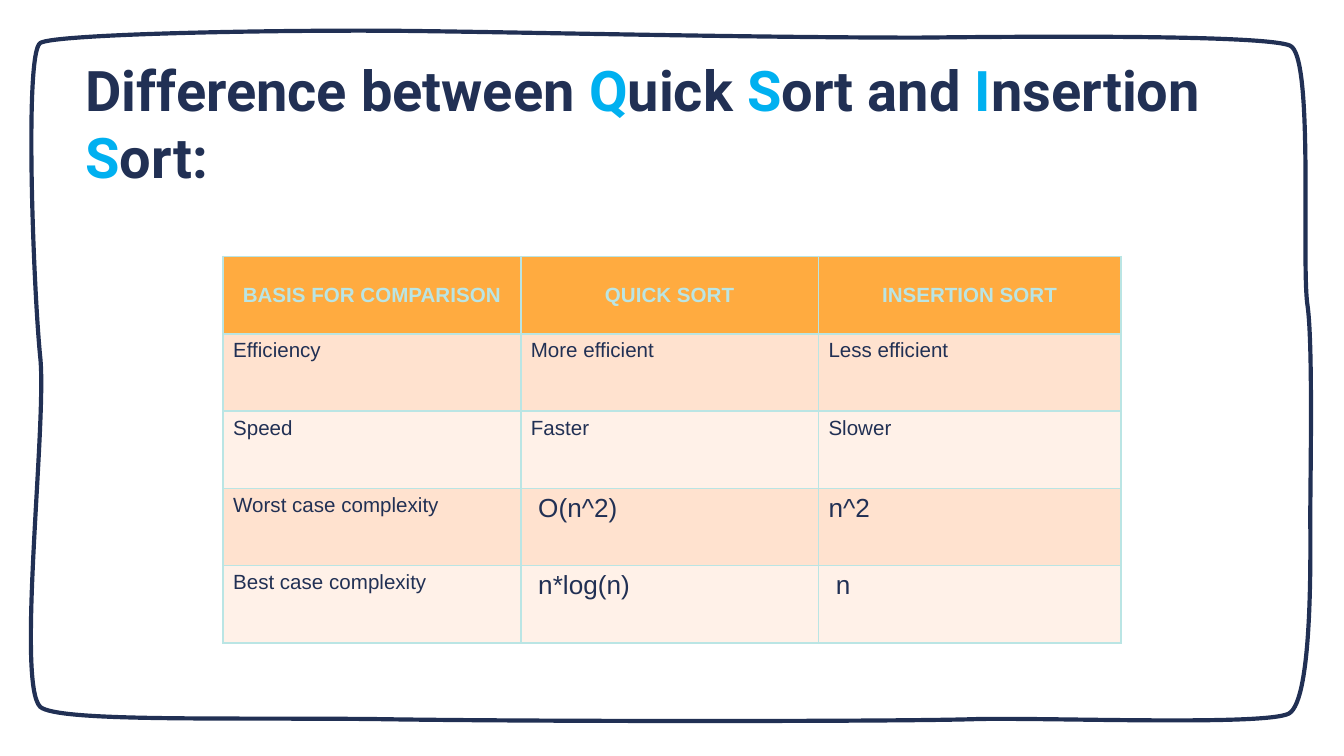
"""Build a slide that compares quick sort with insertion sort in a table."""
from dataclasses import dataclass

from lxml import etree
from pptx import Presentation
from pptx import util as u
from pptx.dml.color import RGBColor
from pptx.enum import text as t
from pptx.oxml.ns import qn

PX = u.Inches(1) // 200


@dataclass(frozen=True)
class Theme:
    """Colours, fonts and type sizes."""
    ink: str = "213054"
    accent: str = "00B0F0"
    edge: str = "BAE5E4"
    head: str = "FFAB40"
    bands: tuple = ("FFE2CF", "FFF1E8")
    display: str = "Roboto"
    body: str = "Arial"
    title: int = 30
    small: int = 11
    large: int = 14


@dataclass(frozen=True)
class Entry:
    """A table cell's words, size and left inset."""
    words: str
    size: int
    inset: int = 15


THEME = Theme()
TITLE = (("Difference between ", False), ("Q", True), ("uick ", False),
         ("S", True), ("ort and ", False), ("I", True),
         ("nsertion ", False), ("S", True), ("ort:", False))
HEADS = ("BASIS FOR COMPARISON", "QUICK SORT", "INSERTION SORT")
SMALL, LARGE = THEME.small, THEME.large
ROWS = (
    (Entry("Efficiency", SMALL), Entry("More efficient", SMALL),
     Entry("Less efficient", SMALL)),
    (Entry("Speed", SMALL), Entry("Faster", SMALL), Entry("Slower", SMALL)),
    (Entry("Worst case complexity", SMALL), Entry("O(n^2)", LARGE, 26),
     Entry("n^2", LARGE)),
    (Entry("Best case complexity", SMALL), Entry("n*log(n)", LARGE, 26),
     Entry("n", LARGE, 26)),
)
WIDTHS = (443, 443, 450)
ROW = 115
START = (60, 1052)
CURVES = (
    ((86, 1074), (322, 1068), (554, 1070)),
    ((788, 1074), (1346, 1074), (1456, 1070)),
    ((1566, 1068), (1882, 1080), (1918, 1062)),
    ((1954, 1042), (1950, 822), (1950, 768)),
    ((1950, 714), (1954, 514), (1946, 456)),
    ((1936, 396), (1956, 84), (1920, 68)),
    ((1884, 52), (1556, 54), (1368, 56)),
    ((1122, 56), (778, 48), (606, 46)),
    ((430, 44), (82, 50), (60, 64)),
    ((36, 78), (50, 434), (60, 532)),
    ((70, 628), (24, 1018), (60, 1052)),
)


def put(para, words: str, *, size: int, color: str, font: str = THEME.body,
        bold: bool = False, align=t.PP_ALIGN.LEFT) -> None:
    """Add a formatted run to a paragraph."""
    para.alignment = align
    run = para.add_run()
    run.text = words
    run.font.name, run.font.size, run.font.bold = font, u.Pt(size), bold
    run.font.color.rgb = RGBColor.from_string(color)


def inset(box, left: int, top: int) -> None:
    """Set equal top and bottom insets, and the left inset."""
    box.margin_left = left * PX
    box.margin_right = min(left, 20) * PX
    box.margin_top = box.margin_bottom = top * PX


def bend(shape) -> None:
    """Turn each three line segments of an outline into one cubic curve."""
    route = shape._element.find(".//" + qn("a:path"))
    lines = route.findall(qn("a:lnTo"))
    for first in range(0, len(lines), 3):
        curve = etree.Element(qn("a:cubicBezTo"))
        lines[first].addprevious(curve)
        for line in lines[first:first + 3]:
            curve.append(line[0])
            route.remove(line)


def frame(slide) -> None:
    """Draw the hand-drawn border."""
    pen = slide.shapes.build_freeform(*START, scale=float(PX))
    pen.add_line_segments([p for curve in CURVES for p in curve], close=True)
    shape = pen.convert_to_shape()
    bend(shape)
    shape.shadow.inherit = False
    shape.fill.background()
    shape.line.color.rgb = RGBColor.from_string(THEME.ink)
    shape.line.width = u.Pt(2.25)


def heading(slide) -> None:
    """Fill the title, with its key letters in the accent colour."""
    box = slide.shapes.title
    box.left, box.top, box.width, box.height = (
        n * PX for n in (107, 196, 1786, 106))
    body = box.text_frame
    body.word_wrap = True
    body.auto_size = t.MSO_AUTO_SIZE.NONE
    body.vertical_anchor = t.MSO_ANCHOR.BOTTOM
    inset(body, 20, 20)
    for words, key in TITLE:
        put(body.paragraphs[0], words, size=THEME.title, font=THEME.display,
            color=THEME.accent if key else THEME.ink, bold=True)


def paint(cell, fill: str) -> None:
    """Give a cell its borders and fill."""
    props = cell._tc.get_or_add_tcPr()
    for side in ("a:lnL", "a:lnR", "a:lnT", "a:lnB"):
        line = etree.SubElement(props, qn(side), w=str(u.Pt(1)))
        solid = etree.SubElement(line, qn("a:solidFill"))
        etree.SubElement(solid, qn("a:srgbClr"), val=THEME.edge)
    cell.fill.solid()
    cell.fill.fore_color.rgb = RGBColor.from_string(fill)


def table(slide) -> None:
    """Draw the comparison table."""
    count = len(ROWS) + 1
    grid = slide.shapes.add_table(
        count, len(WIDTHS), 332 * PX, 382 * PX,
        sum(WIDTHS) * PX, count * ROW * PX).table
    grid.first_row = grid.horz_banding = False
    for col, width in zip(grid.columns, WIDTHS):
        col.width = width * PX
    for col, words in enumerate(HEADS):
        cell = grid.cell(0, col)
        paint(cell, THEME.head)
        inset(cell, 12, 12)
        cell.vertical_anchor = t.MSO_ANCHOR.MIDDLE
        put(cell.text_frame.paragraphs[0], words, size=SMALL,
            color=THEME.edge, bold=True, align=t.PP_ALIGN.CENTER)
    for row, entries in enumerate(ROWS):
        for col, entry in enumerate(entries):
            cell = grid.cell(row + 1, col)
            paint(cell, THEME.bands[row % 2])
            inset(cell, entry.inset, 8)
            put(cell.text_frame.paragraphs[0], entry.words,
                size=entry.size, color=THEME.ink)


def main() -> None:
    """Build and save the slide."""
    deck = Presentation()
    deck.slide_width, deck.slide_height = 2000 * PX, 1125 * PX
    slide = deck.slides.add_slide(deck.slide_layouts.get_by_name("Title Only"))
    frame(slide)
    heading(slide)
    table(slide)
    deck.save("out.pptx")


if __name__ == "__main__":
    main()
